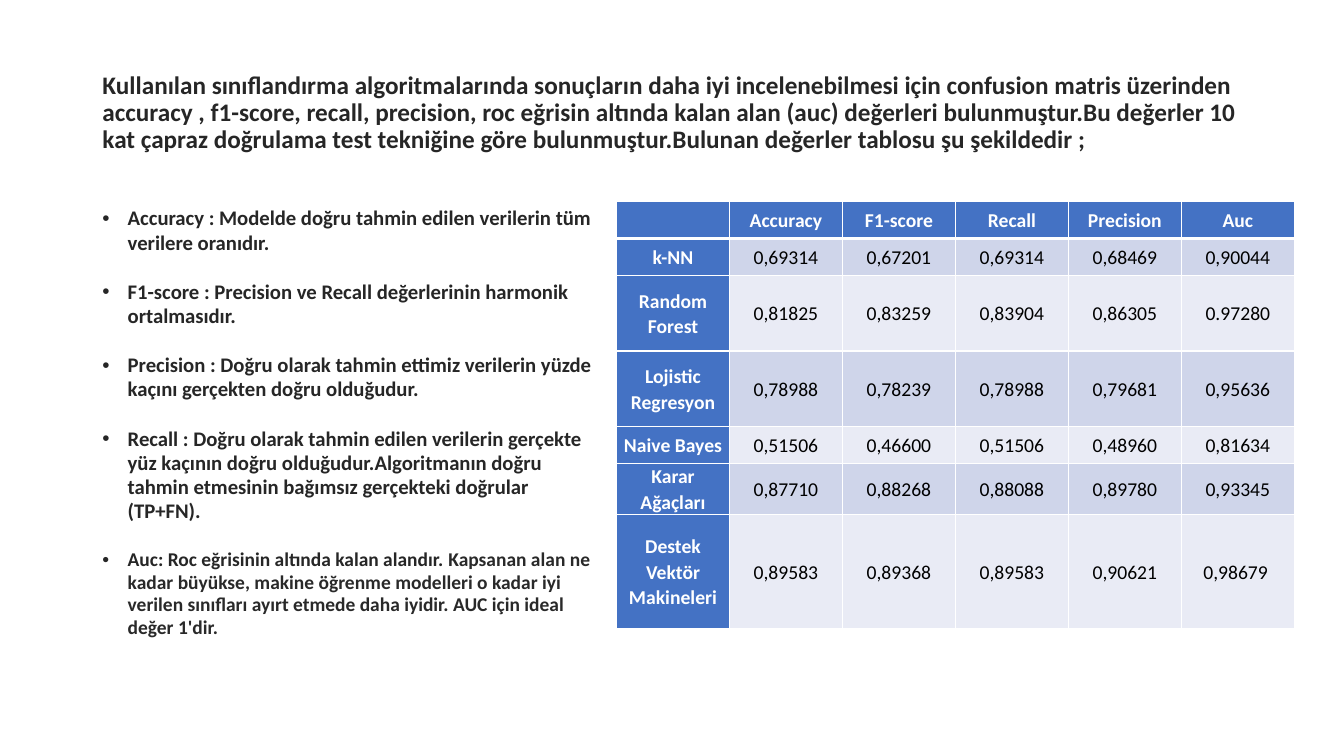
from dataclasses import dataclass
from lxml.etree import SubElement
from pptx import Presentation
from pptx.dml.color import RGBColor
from pptx.enum.text import MSO_ANCHOR, MSO_AUTO_SIZE, PP_ALIGN
from pptx.oxml.ns import qn
from pptx.util import Inches, Pt

TITLE = (
    "Kullanılan sınıflandırma algoritmalarında sonuçların daha iyi incelenebilmesi için "
    "confusion matris üzerinden accuracy , f1-score, recall, precision, roc eğrisin altında "
    "kalan alan (auc) değerleri bulunmuştur.Bu değerler 10 kat çapraz doğrulama test tekniğine "
    "göre bulunmuştur.Bulunan değerler tablosu şu şekildedir ;"
)
DARK, AUC_DARK = "262626", "292929"
DEFINITIONS = [
    [("Accuracy : Modelde doğru tahmin edilen verilerin tüm verilere oranıdır.", 14.8, DARK)],
    [("F1-score : Precision ve Recall değerlerinin harmonik ortalmasıdır.", 14.8, DARK)],
    [("Precision : Doğru olarak tahmin ettimiz verilerin yüzde kaçını gerçekten doğru "
      "olduğudur.", 14.8, DARK)],
    [("Recall : Doğru olarak tahmin edilen verilerin gerçekte yüz kaçının doğru "
      "olduğudur.Algoritmanın doğru tahmin etmesinin bağımsız gerçekteki doğrular (TP+FN).",
      14.8, DARK)],
    [("Auc: Roc eğrisinin altında kalan alandır. ", 13.9, DARK),
     ("Kapsanan alan ne kadar büyükse, makine öğrenme modelleri o kadar iyi verilen sınıfları "
      "ayırt etmede daha iyidir. AUC için ideal değer 1'dir.", 13.9, AUC_DARK)],
]
SCORES = [
    ["", "Accuracy", "F1-score", "Recall", "Precision", "Auc"],
    ["k-NN", "0,69314", "0,67201", "0,69314", "0,68469", "0,90044"],
    ["Random Forest", "0,81825", "0,83259", "0,83904", "0,86305", "0.97280"],
    ["Lojistic Regresyon", "0,78988", "0,78239", "0,78988", "0,79681", "0,95636"],
    ["Naive Bayes", "0,51506", "0,46600", "0,51506", "0,48960", "0,81634"],
    ["Karar Ağaçları", "0,87710", "0,88268", "0,88088", "0,89780", "0,93345"],
    ["Destek Vektör Makineleri", "0,89583", "0,89368", "0,89583", "0,90621", "0,98679 "],
]
ROW_HEIGHTS = [4.4, 4.4, 9, 9, 4.4, 6, 13.6]


def color(code):
    """Turn a hex string into a colour."""
    return RGBColor.from_string(code)


@dataclass
class SlideBuilder:
    """Style and current slide, measured on a grid of 160 columns by 90 rows."""

    deck: object
    page: object
    font: str = "Calibri"
    accent: str = "4472C4"
    bands: tuple = ("E9EBF5", "CFD5EA")
    white: str = "FFFFFF"
    black: str = "000000"

    def columns(self, count):
        """Give the width of a number of grid columns."""
        return round(self.deck.slide_width * count / 160)

    def rows(self, count):
        """Give the height of a number of grid rows."""
        return round(self.deck.slide_height * count / 90)

    def frame(self, left, top, width, height):
        """Turn grid units into a position and a size."""
        return self.columns(left), self.rows(top), self.columns(width), self.rows(height)

    def span(self, para, text, size, ink, bold=True):
        """Add one formatted run."""
        span = para.add_run()
        span.text = text
        span.font.name, span.font.size, span.font.bold = self.font, Pt(size), bold
        span.font.color.rgb = color(ink)

    def spacing(self, para, line, before, after):
        """Set the spacing of a paragraph."""
        para.line_spacing = line
        para.space_before, para.space_after = Pt(before), Pt(after)

    def place(self, box, area, anchor):
        """Move a placeholder and return its text frame."""
        box.left, box.top, box.width, box.height = self.frame(*area)
        text_frame = box.text_frame
        text_frame.word_wrap = True
        text_frame.auto_size = MSO_AUTO_SIZE.NONE
        text_frame.vertical_anchor = anchor
        return text_frame

    def title(self, text, area):
        """Fill the title placeholder."""
        para = self.place(self.page.shapes.title, area, MSO_ANCHOR.MIDDLE).paragraphs[0]
        para.alignment = PP_ALIGN.LEFT
        self.spacing(para, 0.9, 0, 0)
        self.span(para, text, 18, DARK)

    def bullets(self, items, area):
        """Fill the body placeholder with a bulleted list."""
        text_frame = self.place(self.page.placeholders[1], area, MSO_ANCHOR.TOP)
        for index, spans in enumerate(items):
            para = text_frame.add_paragraph() if index else text_frame.paragraphs[0]
            self.spacing(para, 0.97, 10, 8)
            properties = para._p.get_or_add_pPr()
            properties.set("marL", str(Inches(0.25)))
            properties.set("indent", str(-Inches(0.25)))
            SubElement(properties, qn("a:buFont"), typeface="Arial")
            SubElement(properties, qn("a:buChar"), char="•")
            for text, size, ink in spans:
                self.span(para, text, size, ink)

    def borders(self, cell, top, bottom):
        """Draw the white borders of a cell."""
        properties = cell._tc.get_or_add_tcPr()
        for side, width in (("L", 1), ("R", 1), ("T", top), ("B", bottom)):
            line = SubElement(properties, qn(f"a:ln{side}"), w=str(Pt(width)))
            fill = SubElement(line, qn("a:solidFill"))
            SubElement(fill, qn("a:srgbClr"), val=self.white)

    def cell(self, cell, text, row, column):
        """Fill and format one table cell."""
        heading = row == 0 or column == 0
        self.borders(cell, 3 if row == 1 else 1, 3 if row == 0 else 1)
        cell.fill.solid()
        cell.fill.fore_color.rgb = color(self.accent if heading else self.bands[row % 2])
        cell.vertical_anchor = MSO_ANCHOR.MIDDLE
        cell.margin_left = cell.margin_right = Inches(0.07)
        cell.margin_top = cell.margin_bottom = 0
        para = cell.text_frame.paragraphs[0]
        para.alignment = PP_ALIGN.CENTER
        self.spacing(para, 1.07, 0, 8)
        if text:
            self.span(para, text, 14, self.white if heading else self.black, heading)

    def table(self, values, heights, area):
        """Add a table with equal columns and given row heights."""
        count = len(values[0])
        table = self.page.shapes.add_table(len(values), count, *self.frame(*area)).table
        for column in table.columns:
            column.width = self.columns(area[2] / count)
        for row, (texts, height) in enumerate(zip(values, heights)):
            table.rows[row].height = self.rows(height)
            for column, text in enumerate(texts):
                self.cell(table.cell(row, column), text, row, column)


def main():
    """Build and save the slide."""
    deck = Presentation()
    deck.slide_width, deck.slide_height = Inches(13.33), Inches(7.5)
    builder = SlideBuilder(deck, deck.slides.add_slide(deck.slide_layouts[1]))
    builder.title(TITLE, (11, 4.8, 138, 17.4))
    builder.bullets(DEFINITIONS, (11, 24, 61, 50.8))
    builder.table(SCORES, ROW_HEIGHTS, (73.4, 24, 80.7, sum(ROW_HEIGHTS)))
    deck.save("out.pptx")


if __name__ == "__main__":
    main()
